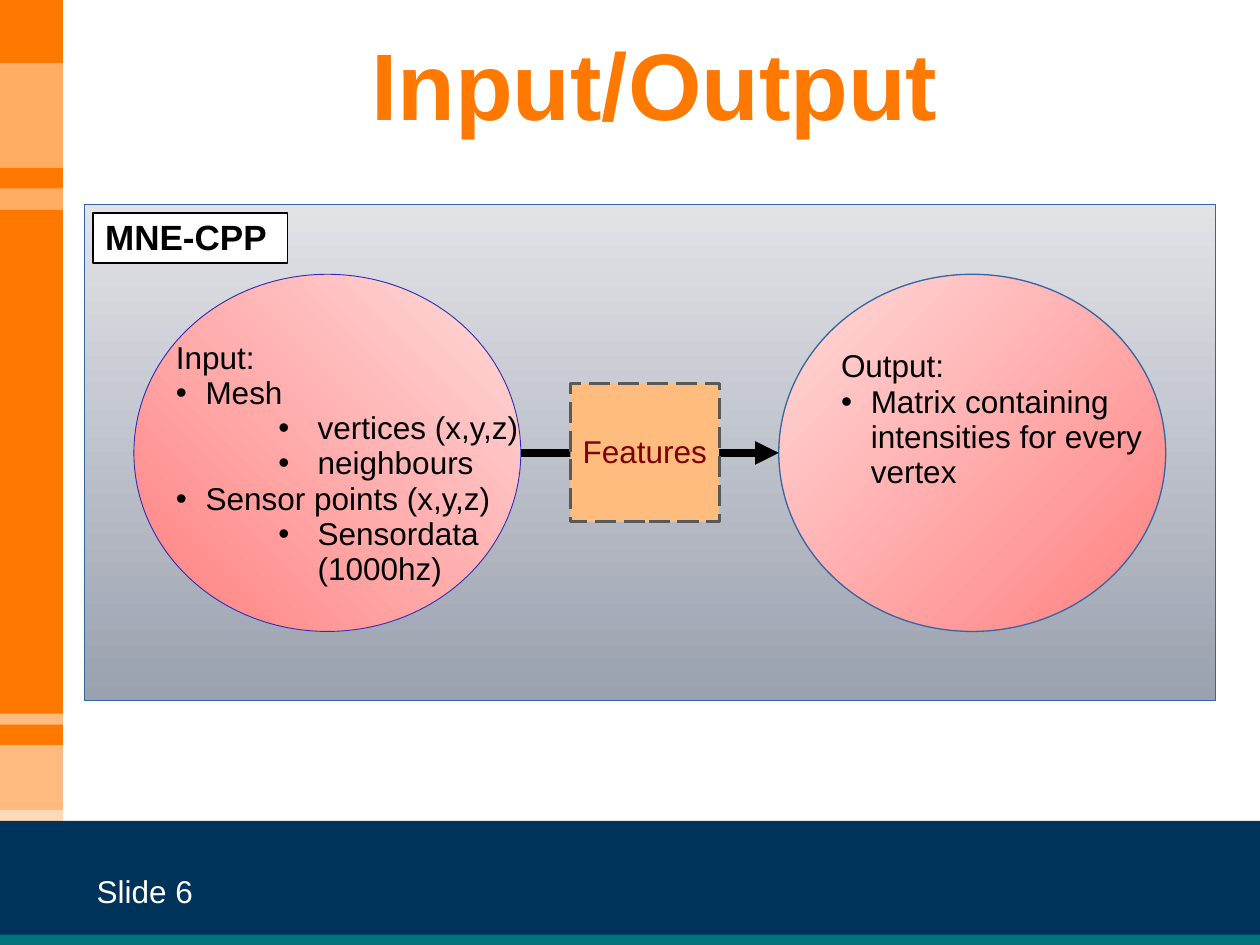
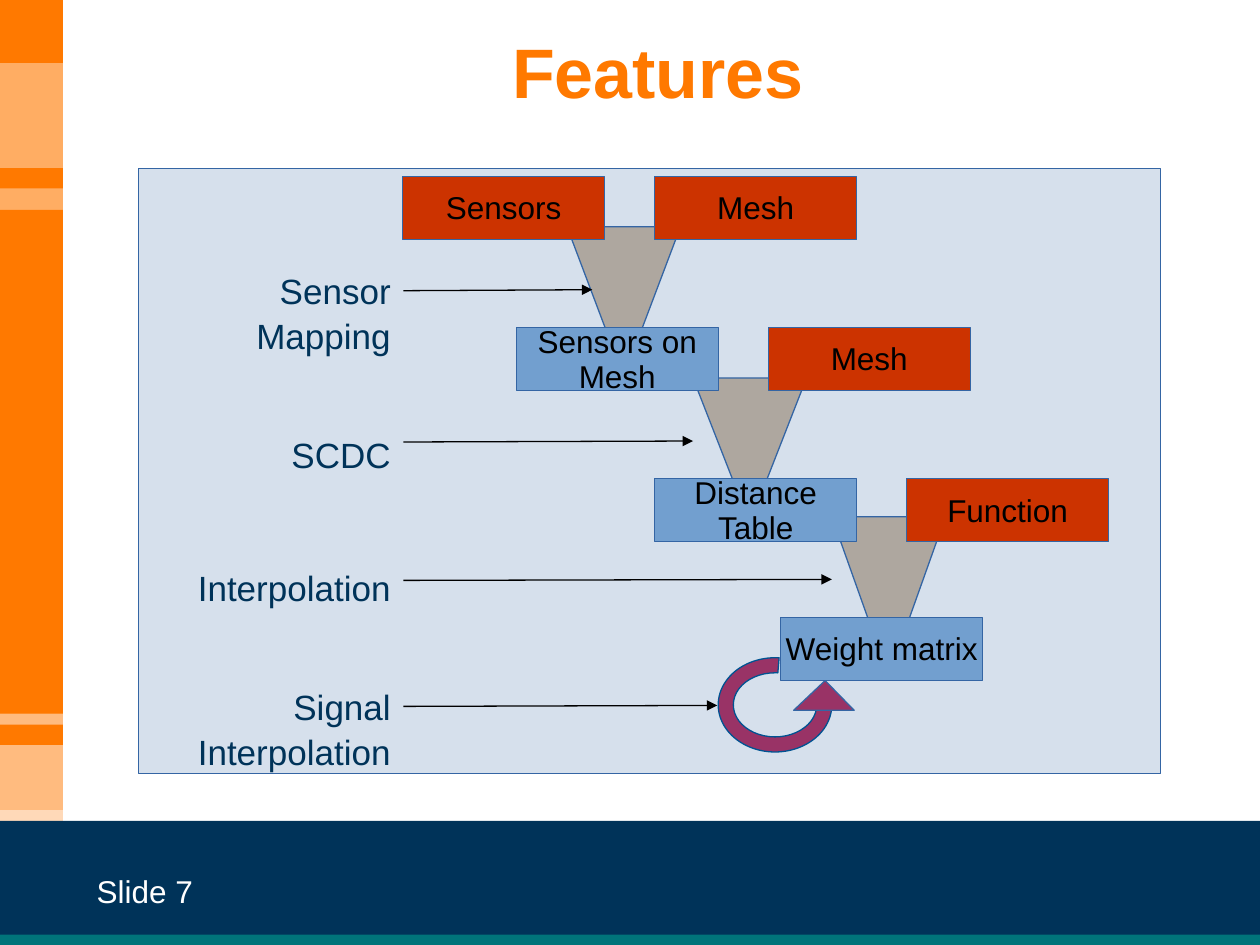
"""Build the input/output and feature pipeline slides."""
from dataclasses import dataclass

from lxml import etree
from pptx import Presentation
from pptx.dml.color import RGBColor
from pptx.enum import dml, shapes, text
from pptx.oxml.ns import qn
from pptx.util import Cm, Pt


@dataclass(frozen=True)
class Theme:
    """Colours, font and type sizes shared by the slides."""
    font: str = "Arial"
    orange: str = "FF7900"
    navy: str = "003359"
    teal: str = "00747A"
    white: str = "FFFFFF"
    black: str = "000000"
    outline: str = "3465A4"
    input_outline: str = "2D2DB9"
    panel: tuple = ("9AA1AF", "E2E3E7")
    bubble: tuple = ("FF8080", "FFDADA")
    feature_fill: str = "FFBC7F"
    feature_line: str = "595959"
    feature_text: str = "800000"
    source: str = "CC3300"
    result: str = "729FCF"
    funnel: str = "AEA79F"
    loop: str = "993366"
    loop_line: str = "005392"
    big_title: int = 54
    title: int = 40
    label: int = 20
    body: int = 18


THEME = Theme()
PRESET = shapes.MSO_SHAPE
ALIGN = text.PP_ALIGN
ANCHOR = text.MSO_ANCHOR

RAIL_WIDTH = 1.27
RAIL_BANDS = [
    (0, 14.38, THEME.orange, 61),
    (7.82, 8.73, THEME.orange, 50),
    (4.23, 10.16, THEME.orange, 100),
    (16.33, 0.22, THEME.white, 45),
    (0, 1.27, THEME.orange, 100),
    (3.39, 0.41, THEME.orange, 100),
    (14.61, 0.41, THEME.orange, 100),
]

INPUT_LIST = [
    ("Input:", None), ("Mesh", 0), ("vertices (x,y,z)", 1), ("neighbours", 1),
    ("Sensor points (x,y,z)", 0), ("Sensordata (1000hz)", 1),
]
OUTPUT_LIST = [
    ("Output:", None), ("Matrix containing intensities for every vertex", 0),
]
BULLET_INDENTS = {None: (0, 0), 0: (0.6, -0.6), 1: (2.86, -0.79)}

BOX_WIDTH, BOX_HEIGHT, BOX_STEP = 4.07, 1.27, 5.08
STAGES = [
    (8.12, 3.56, "Sensors", THEME.source, "Mesh"),
    (10.41, 6.6, "Sensors on\vMesh", THEME.result, "Mesh"),
    (13.2, 9.65, "Distance\nTable", THEME.result, "Function"),
    (15.74, 12.45, "Weight matrix", THEME.result, None),
]
FUNNEL_SIZE, FUNNEL_RISE = 2.29, 2.03
FUNNELS = [(11.43, 0.28), (13.97, 0.25), (16.77, 0.33)]
LABEL_EDGE = 8.13
STEPS = [
    ("Sensor\vMapping", 5.19, 5.08, 5.84, 11.94),
    ("SCDC", 8.5, 2.54, 8.89, 13.97),
    ("Interpolation", 11.19, 4.83, 11.68, 16.77),
    ("Signal\vInterpolation", 13.59, 4.57, 14.22, 14.46),
]


def rgb(color):
    """Turn a hex string into a colour."""
    return RGBColor.from_string(color)


def place(shape, left, top, width, height):
    """Move and size a shape in centimetres."""
    shape.left, shape.top = Cm(left), Cm(top)
    shape.width, shape.height = Cm(width), Cm(height)


def set_bullet(paragraph, level):
    """Give a paragraph its indent and bullet, or none."""
    properties = paragraph._p.get_or_add_pPr()
    margin, indent = BULLET_INDENTS[level]
    properties.set("marL", str(Cm(margin)))
    properties.set("indent", str(Cm(indent)))
    if level is None:
        etree.SubElement(properties, qn("a:buNone"))
    else:
        paragraph.level = level
        etree.SubElement(properties, qn("a:buFont"), typeface=THEME.font)
        etree.SubElement(properties, qn("a:buChar"), char="•")


def write(shape, content, *, size=THEME.body, color=THEME.black, bold=False,
          align=ALIGN.LEFT, anchor=ANCHOR.TOP, spacing=0.93, wrap=True,
          inset_top=0.13):
    """Fill a shape with a string or with (text, bullet level) pairs."""
    if isinstance(content, str):
        content = [(line, None) for line in content.split("\n")]
    frame = shape.text_frame
    frame.text = "\n".join(line for line, _ in content)
    frame.auto_size = text.MSO_AUTO_SIZE.NONE
    frame.word_wrap = wrap
    frame.vertical_anchor = anchor
    frame.margin_top = Cm(inset_top)
    for paragraph, (_, level) in zip(frame.paragraphs, content):
        set_bullet(paragraph, level)
        paragraph.alignment = align
        paragraph.line_spacing = spacing
        paragraph.space_before = paragraph.space_after = Pt(0)
        for run in paragraph.runs:
            run.font.name = THEME.font
            run.font.size = Pt(size)
            run.font.bold = bold
            run.font.color.rgb = rgb(color)


def paint(shape, fill, line=None, line_width=0.75, alpha=100):
    """Set a plain fill, its opacity and the outline."""
    shape.shadow.inherit = False
    shape.fill.solid()
    shape.fill.fore_color.rgb = rgb(fill)
    if alpha < 100:
        color = shape.element.spPr.find(".//" + qn("a:srgbClr"))
        etree.SubElement(color, qn("a:alpha"), val=str(alpha * 1000))
    if line:
        shape.line.color.rgb = rgb(line)
        shape.line.width = Pt(line_width)
    else:
        shape.line.fill.background()


def add_block(slide, box, fill, preset=PRESET.RECTANGLE, **style):
    """Add a painted preset shape."""
    shape = slide.shapes.add_shape(preset, *map(Cm, box))
    paint(shape, fill, **style)
    return shape


def add_gradient(slide, box, colors, angle, preset=PRESET.RECTANGLE, **style):
    """Add a preset shape with a two-colour gradient."""
    shape = add_block(slide, box, colors[0], preset, **style)
    shape.fill.gradient()
    shape.fill.gradient_angle = angle
    for stop, color in zip(shape.fill.gradient_stops, colors):
        stop.color.rgb = rgb(color)
    return shape


def add_arrow(slide, start, end, width):
    """Add a black straight arrow."""
    arrow = slide.shapes.add_connector(
        shapes.MSO_CONNECTOR.STRAIGHT, *map(Cm, (*start, *end)))
    arrow.line.color.rgb = rgb(THEME.black)
    arrow.line.width = Pt(width)
    properties = arrow.element.spPr
    etree.SubElement(properties.find(qn("a:ln")), qn("a:tailEnd"),
                     type="triangle")
    etree.SubElement(properties, qn("a:effectLst"))


def add_text(slide, box, content, **style):
    """Add a text box."""
    write(slide.shapes.add_textbox(*map(Cm, box)), content, **style)


def add_list(slide, index, box, items):
    """Put a list in a body placeholder, in front of the shapes so far."""
    body = slide.placeholders[index]
    place(body, *box)
    write(body, items)
    body.element.getparent().append(body.element)


def start_slide(presentation, layout, number, title, box, **style):
    """Add a slide with the side rail, footer bands, number and title."""
    slide = presentation.slides.add_slide(presentation.slide_layouts[layout])
    for top, height, color, alpha in RAIL_BANDS:
        add_block(slide, (0, top, RAIL_WIDTH, height), color, alpha=alpha)
    add_block(slide, (0, 16.55, 25.4, 2.5), THEME.navy)
    add_block(slide, (0, 18.84, 25.4, 0.21), THEME.teal)
    add_text(slide, (1.7, 17.51, 6.6, 0.97), f"Slide {number}",
             color=THEME.white)
    place(slide.shapes.title, *box)
    write(slide.shapes.title, title, color=THEME.orange, bold=True,
          align=ALIGN.CENTER, **style)
    return slide


def build_input_output(presentation):
    """Show input and output joined through the features."""
    slide = start_slide(presentation, 3, 6, "Input/Output",
                        (4.6, 0.6, 17.2, 2.54), size=THEME.big_title)
    add_gradient(slide, (1.7, 4.12, 22.8, 10), THEME.panel, 90,
                 line=THEME.outline)
    add_gradient(slide, (2.7, 5.53, 7.8, 7.2), THEME.bubble, 45, PRESET.OVAL,
                 line=THEME.input_outline, line_width=0.5)
    add_list(slide, 1, (3.29, 6.75, 7.6, 6.68), INPUT_LIST)
    add_gradient(slide, (15.7, 5.53, 7.8, 7.2), THEME.bubble, 135, PRESET.OVAL,
                 line=THEME.outline)
    add_list(slide, 2, (16.7, 6.92, 7.4, 3.12), OUTPUT_LIST)
    tag = add_block(slide, (1.87, 4.3, 3.93, 1), THEME.white,
                    line=THEME.black, line_width=1)
    write(tag, "MNE-CPP", size=THEME.label, bold=True)
    add_arrow(slide, (10.5, 9.13), (15.7, 9.13), 4.5)
    features = add_block(slide, (11.5, 7.73, 3, 2.79), THEME.feature_fill,
                         line=THEME.feature_line, line_width=1.5)
    features.line.dash_style = dml.MSO_LINE.LONG_DASH
    write(features, "Features", color=THEME.feature_text, align=ALIGN.CENTER,
          anchor=ANCHOR.MIDDLE, wrap=False)


def add_stage_box(slide, left, top, label, fill):
    """Add one labelled box of the pipeline."""
    box = add_block(slide, (left, top, BOX_WIDTH, BOX_HEIGHT), fill,
                    line=THEME.outline)
    write(box, label, align=ALIGN.CENTER, anchor=ANCHOR.MIDDLE, wrap=False,
          inset_top=0.18)


def add_funnel(slide, left, top, half_neck):
    """Add a funnel that narrows towards the next stage."""
    middle, bottom = left + FUNNEL_SIZE / 2, top + FUNNEL_SIZE
    corners = [(middle - half_neck, bottom), (middle + half_neck, bottom),
               (left + FUNNEL_SIZE, top)]
    builder = slide.shapes.build_freeform(Cm(left), Cm(top), scale=1.0)
    builder.add_line_segments([(Cm(x), Cm(y)) for x, y in corners], close=True)
    paint(builder.convert_to_shape(), THEME.funnel, THEME.outline)


def add_loop(slide):
    """Add an open ring with an arrowhead back to the matrix."""
    ring = add_block(slide, (14.48, 13.26, 2.29, 1.9), THEME.loop,
                     PRESET.BLOCK_ARC, line=THEME.loop_line)
    start_degrees, end_degrees, thickness = 355, 275, 0.16
    for index, value in enumerate(
            (start_degrees * 0.6, end_degrees * 0.6, thickness)):
        ring.adjustments[index] = value
    head = add_block(slide, (16, 13.72, 1.22, 0.6), THEME.loop,
                     PRESET.ISOSCELES_TRIANGLE, line=THEME.outline)
    head.adjustments[0] = 0.52


def build_features(presentation):
    """Show the pipeline from sensors to the weight matrix."""
    slide = start_slide(presentation, 5, 7, "Features", (3.71, 0.5, 19.1, 3.4),
                        size=THEME.title, inset_top=0.22)
    add_block(slide, (2.8, 3.4, 20.6, 12.2), THEME.outline, line=THEME.outline,
              alpha=20)
    for (left, half_neck), following in zip(FUNNELS, STAGES[1:]):
        add_funnel(slide, left, following[1] - FUNNEL_RISE, half_neck)
    for left, top, label, fill, partner in STAGES:
        add_stage_box(slide, left, top, label, fill)
        if partner:
            add_stage_box(slide, left + BOX_STEP, top, partner, THEME.source)
    for label, top, width, arrow_y, arrow_end in STEPS:
        add_text(slide, (LABEL_EDGE - width, top, width, 1.68), label,
                 size=THEME.label, color=THEME.navy, align=ALIGN.RIGHT,
                 spacing=1.07, inset_top=0.18)
        add_arrow(slide, (LABEL_EDGE, arrow_y + 0.02), (arrow_end, arrow_y),
                  0.75)
    add_loop(slide)


def main():
    """Build and save the presentation."""
    presentation = Presentation()
    presentation.slide_width, presentation.slide_height = Cm(25.4), Cm(19.05)
    build_input_output(presentation)
    build_features(presentation)
    presentation.save("out.pptx")


if __name__ == "__main__":
    main()
